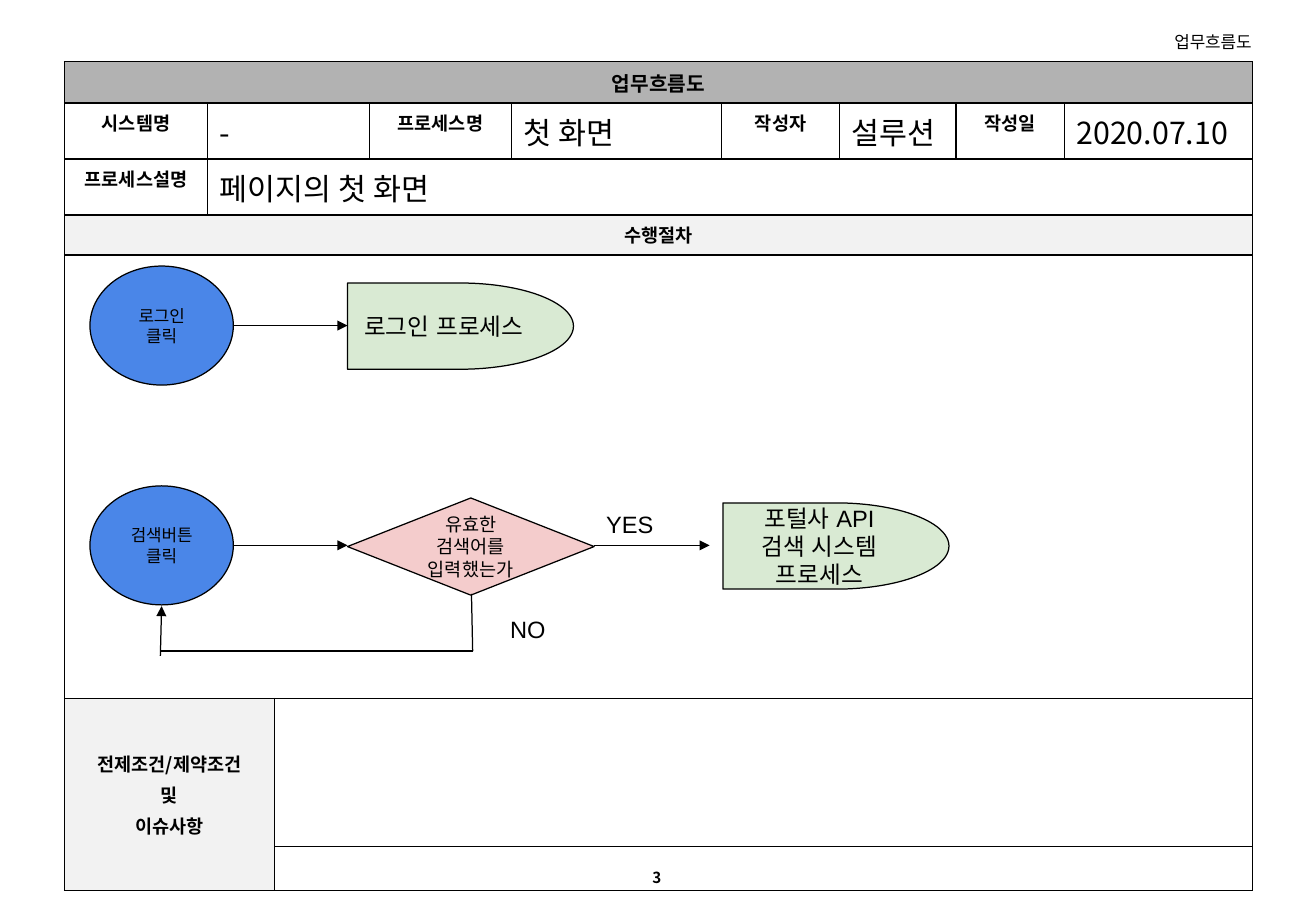
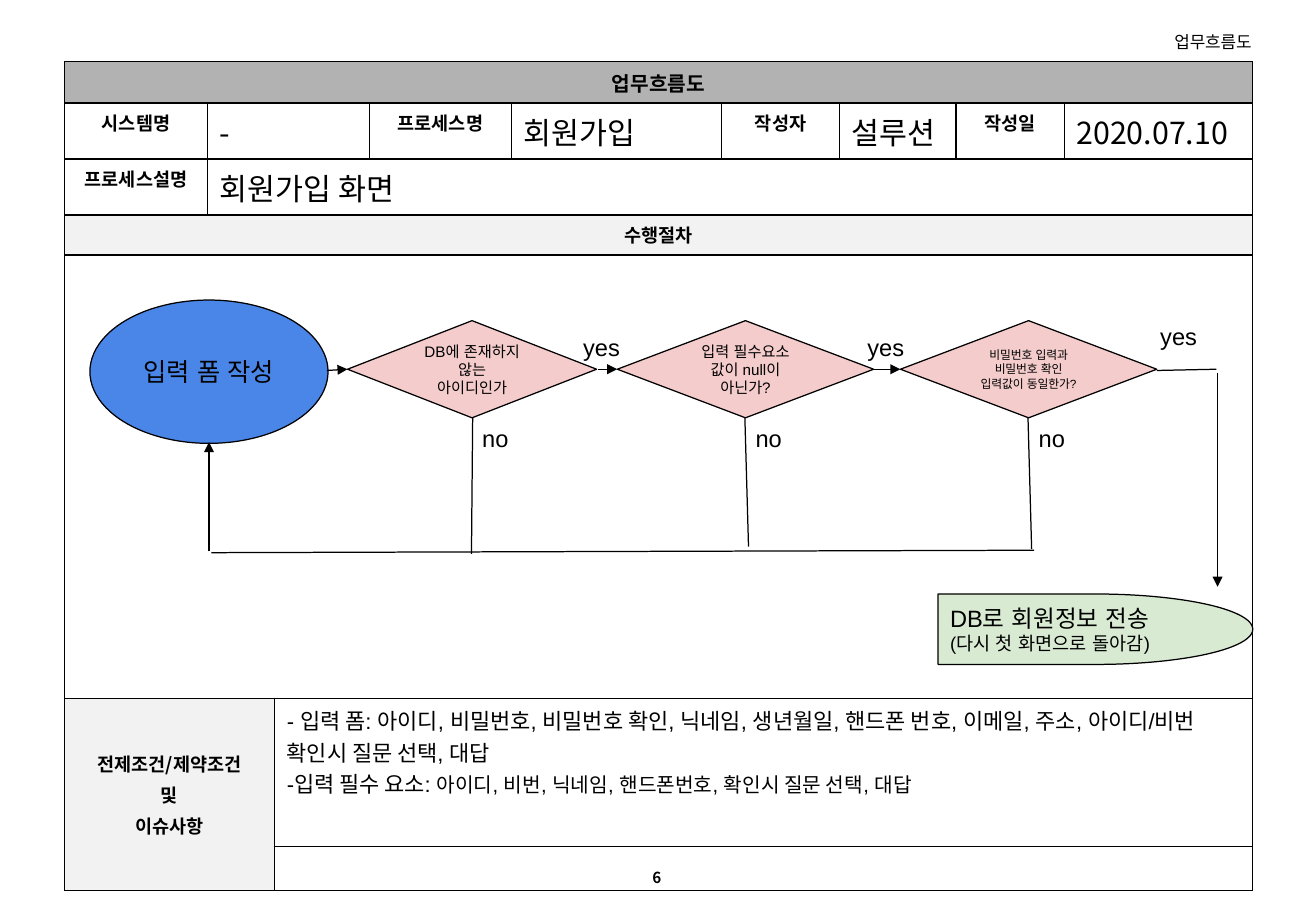
from lxml import etree
from pptx import Presentation
from pptx.dml.color import RGBColor
from pptx.enum.shapes import MSO_CONNECTOR, MSO_SHAPE
from pptx.enum.text import MSO_ANCHOR, PP_ALIGN as ALIGN
from pptx.oxml.ns import qn
from pptx.util import Inches, Pt

COLORS = {
    "ink": "000000", "title": "B2B2B2", "heading": "F2F2F2",
    "start": "4A86E8", "decision": "F4CCCC", "process": "D9EAD3",
}
FORM_FONT, FLOW_FONT = "Noto Sans CJK KR", "Arial"
OUTLINES = {
    "start": MSO_SHAPE.OVAL,
    "decision": MSO_SHAPE.DIAMOND,
    "process": MSO_SHAPE.FLOWCHART_DELAY,
}
COLUMNS = [1.18, 0.55, 0.78, 1.17, 1.73, 0.97, 0.96, 0.89, 1.55]
ROWS = [0.34, 0.46, 0.46, 0.33, 3.65, 1.58]
MERGES = [(0, 0, 8), (1, 1, 2), (2, 1, 8), (3, 0, 8), (4, 0, 8), (5, 0, 1), (5, 2, 8)]

# nodes: kind, box, lines, size, alignment; lines: start, end, has arrowhead
PAGES = [
    {
        "number": "3",
        "process": "첫 화면",
        "description": "페이지의 첫 화면",
        "notes": [],
        "nodes": [
            ("start", (0.74, 2.19, 1.18, 0.98), ["로그인", "클릭"], 10, ALIGN.CENTER),
            ("process", (2.86, 2.33, 1.86, 0.71), ["로그인 프로세스"], 14, ALIGN.CENTER),
            ("start", (0.74, 4, 1.18, 0.98), ["검색버튼", "클릭"], 10, ALIGN.CENTER),
            ("decision", (2.86, 4.1, 2.03, 0.8), ["유효한 검색어를 입력했는가"], 11, ALIGN.CENTER),
            ("process", (5.95, 4.14, 1.86, 0.71), ["포털사 API", "검색 시스템 프로세스"], 14, ALIGN.CENTER),
        ],
        "lines": [
            ((1.92, 2.68), (2.86, 2.68), True),
            ((1.92, 4.49), (2.86, 4.49), True),
            ((4.89, 4.49), (5.84, 4.49), True),
            ((3.88, 4.89), (3.89, 5.36), False),
            ((3.89, 5.36), (1.32, 5.36), False),
            ((1.32, 5.4), (1.33, 4.99), True),
        ],
        "answers": [("YES", 4.89, 4.1), ("NO", 4.1, 4.96)],
    },
    {
        "number": "6",
        "process": "회원가입",
        "description": "회원가입 화면",
        "notes": [
            "- 입력 폼: 아이디, 비밀번호, 비밀번호 확인, 닉네임, 생년월일, 핸드폰 번호, 이메일, 주소, "
            "아이디/비번 확인시 질문 선택, 대답",
            [("-입력 필수 요소: ", 13), ("아이디, 비번, 닉네임, 핸드폰번호, 확인시 질문 선택, 대답", 12)],
        ],
        "nodes": [
            ("start", (0.74, 2.47, 1.96, 1.18), ["입력 폼 작성"], 15, ALIGN.CENTER),
            ("decision", (2.86, 2.64, 2.05, 0.8), ["DB에 존재하지 않는 아이디인가"], 9, ALIGN.CENTER),
            ("decision", (5.08, 2.64, 2.11, 0.8), ["입력 필수요소", "값이 null이 아닌가?"], 9, ALIGN.CENTER),
            ("decision", (7.41, 2.64, 2.11, 0.8), ["비밀번호 입력과 비밀번호 확인 입력값이 동일한가?"], 7, ALIGN.CENTER),
            ("process", (7.72, 4.89, 2.59, 0.58),
             ["DB로 회원정보 전송", [("(다시 첫 화면으로 돌아감)", 11)]], 14, ALIGN.LEFT),
        ],
        "lines": [
            ((2.69, 3.05), (2.86, 3.04), True),
            ((4.92, 3.04), (5.08, 3.04), True),
            ((7.19, 3.04), (7.41, 3.04), True),
            ((1.72, 4.54), (1.72, 3.64), True),
            ((3.89, 3.44), (3.88, 4.56), False),
            ((1.74, 4.55), (8.51, 4.53), False),
            ((6.13, 3.44), (6.16, 4.5), False),
            ((8.46, 3.44), (8.49, 4.52), False),
            ((9.52, 3.05), (10.01, 3.04), False),
            ((10.02, 3.07), (10.02, 4.83), True),
        ],
        "answers": [
            ("no", 3.87, 3.39), ("no", 6.12, 3.39), ("no", 8.45, 3.39),
            ("yes", 4.7, 2.64), ("yes", 7.04, 2.64), ("yes", 9.45, 2.55),
        ],
    },
]


def write(frame, lines, size, bold=False, font=FORM_FONT, asian=None, align=ALIGN.LEFT, gap=0):
    """Fill a frame; a line is a string or a list of (text, size) runs."""
    frame.word_wrap = True
    for index, line in enumerate(lines):
        paragraph = frame.add_paragraph() if index else frame.paragraphs[0]
        paragraph.alignment = align
        paragraph.space_before = Pt(gap if index else 0)
        for text, run_size in [(line, size)] if isinstance(line, str) else line:
            run = paragraph.add_run()
            run.text = text
            run.font.size, run.font.bold, run.font.name = Pt(run_size), bold, font
            run.font.color.rgb = RGBColor.from_string(COLORS["ink"])
            etree.SubElement(run.font._element, qn("a:ea"), typeface=asian or font)


def draw_line(slide, start, end, arrow=False):
    line = slide.shapes.add_connector(MSO_CONNECTOR.STRAIGHT, *map(Inches, start + end))
    line.line.color.rgb = RGBColor.from_string(COLORS["ink"])
    line.line.width = Pt(0.75)
    if arrow:
        etree.SubElement(line.line._get_or_add_ln(), qn("a:tailEnd"), type="triangle")
    etree.SubElement(line._element.spPr, qn("a:effectLst"))


prs = Presentation()
prs.slide_width, prs.slide_height = Inches(10.83), Inches(7.5)

for page in PAGES:
    slide = prs.slides.add_slide(prs.slide_layouts[5])

    # Running title, footer rule and page number
    title = slide.shapes.title
    title.left, title.top, title.width, title.height = map(Inches, (7.11, 0.26, 3.19, 0.17))
    heading = title.text_frame
    heading.margin_left = heading.margin_right = heading.margin_top = heading.margin_bottom = 0
    heading.vertical_anchor = MSO_ANCHOR.TOP
    write(heading, ["업무흐름도"], 10, align=ALIGN.RIGHT)
    draw_line(slide, (10.31, 6.97), (0.54, 6.97))
    page_number = slide.shapes.add_textbox(*map(Inches, (5.13, 7.1, 0.55, 0.25)))
    write(page_number.text_frame, [page["number"]], 9, bold=True, align=ALIGN.CENTER)

    # Form
    form = slide.shapes.add_table(
        len(ROWS), len(COLUMNS), *map(Inches, (0.53, 0.51, sum(COLUMNS), sum(ROWS)))).table
    form.first_row = form.horz_banding = False
    for column, width in zip(form.columns, COLUMNS):
        column.width = Inches(width)
    for row, height in zip(form.rows, ROWS):
        row.height = Inches(height)
    for row, first, last in MERGES:
        form.cell(row, first).merge(form.cell(row, last))

    shaded = {(0, 0): "title", (3, 0): "heading", (5, 0): "heading"}
    for row in range(len(ROWS)):
        for col in range(len(COLUMNS)):
            cell = form.cell(row, col)
            thick = {
                "lnL": row in (1, 2) and col > 0,
                "lnR": row in (1, 2) and col < len(COLUMNS) - 1,
                "lnT": row in (1, 2, 3),
                "lnB": row < 3,
            }
            for side, is_thick in thick.items():
                border = etree.SubElement(
                    cell._tc.get_or_add_tcPr(), qn(f"a:{side}"), w=str(Pt(1 if is_thick else 0.75)))
                ink = etree.SubElement(border, qn("a:solidFill"))
                etree.SubElement(ink, qn("a:srgbClr"), val=COLORS["ink"])
            if (row, col) in shaded:
                cell.fill.solid()
                cell.fill.fore_color.rgb = RGBColor.from_string(COLORS[shaded[row, col]])
            else:
                cell.fill.background()

    labels = {(1, 0): "시스템명", (1, 3): "프로세스명", (1, 5): "작성자", (1, 7): "작성일",
              (2, 0): "프로세스설명", (3, 0): "수행절차"}
    values = {(1, 1): "-", (1, 4): page["process"], (1, 6): "설루션", (1, 8): "2020.07.10",
              (2, 1): page["description"]}
    write(form.cell(0, 0).text_frame, ["업무흐름도"], 12, bold=True, align=ALIGN.CENTER)
    for place, label in labels.items():
        write(form.cell(*place).text_frame, [label], 11, bold=True, align=ALIGN.CENTER)
    for place, value in values.items():
        write(form.cell(*place).text_frame, [value], 18)
    conditions = form.cell(5, 0)
    conditions.vertical_anchor = MSO_ANCHOR.MIDDLE
    write(conditions.text_frame, ["전제조건/제약조건", "및", "이슈사항"], 11,
          bold=True, align=ALIGN.CENTER, gap=2.2)
    write(form.cell(5, 2).text_frame, page["notes"], 13, font=FLOW_FONT, asian=FORM_FONT)

    # Flow
    for kind, box, lines, size, align in page["nodes"]:
        node = slide.shapes.add_shape(OUTLINES[kind], *map(Inches, box))
        node.shadow.inherit = False
        node.fill.solid()
        node.fill.fore_color.rgb = RGBColor.from_string(COLORS[kind])
        node.line.color.rgb = RGBColor.from_string(COLORS["ink"])
        node.line.width = Pt(0.75)
        frame = node.text_frame
        frame.margin_top = frame.margin_bottom = Inches(0.1)
        frame.vertical_anchor = MSO_ANCHOR.MIDDLE
        write(frame, lines, size, font=FLOW_FONT, align=align)
    for start, end, arrow in page["lines"]:
        draw_line(slide, start, end, arrow)
    for answer, left, top in page["answers"]:
        frame = slide.shapes.add_textbox(*map(Inches, (left, top, 0.77, 0.45))).text_frame
        frame.margin_top = frame.margin_bottom = Inches(0.1)
        write(frame, [answer], 14, font=FLOW_FONT)

prs.save("out.pptx")
